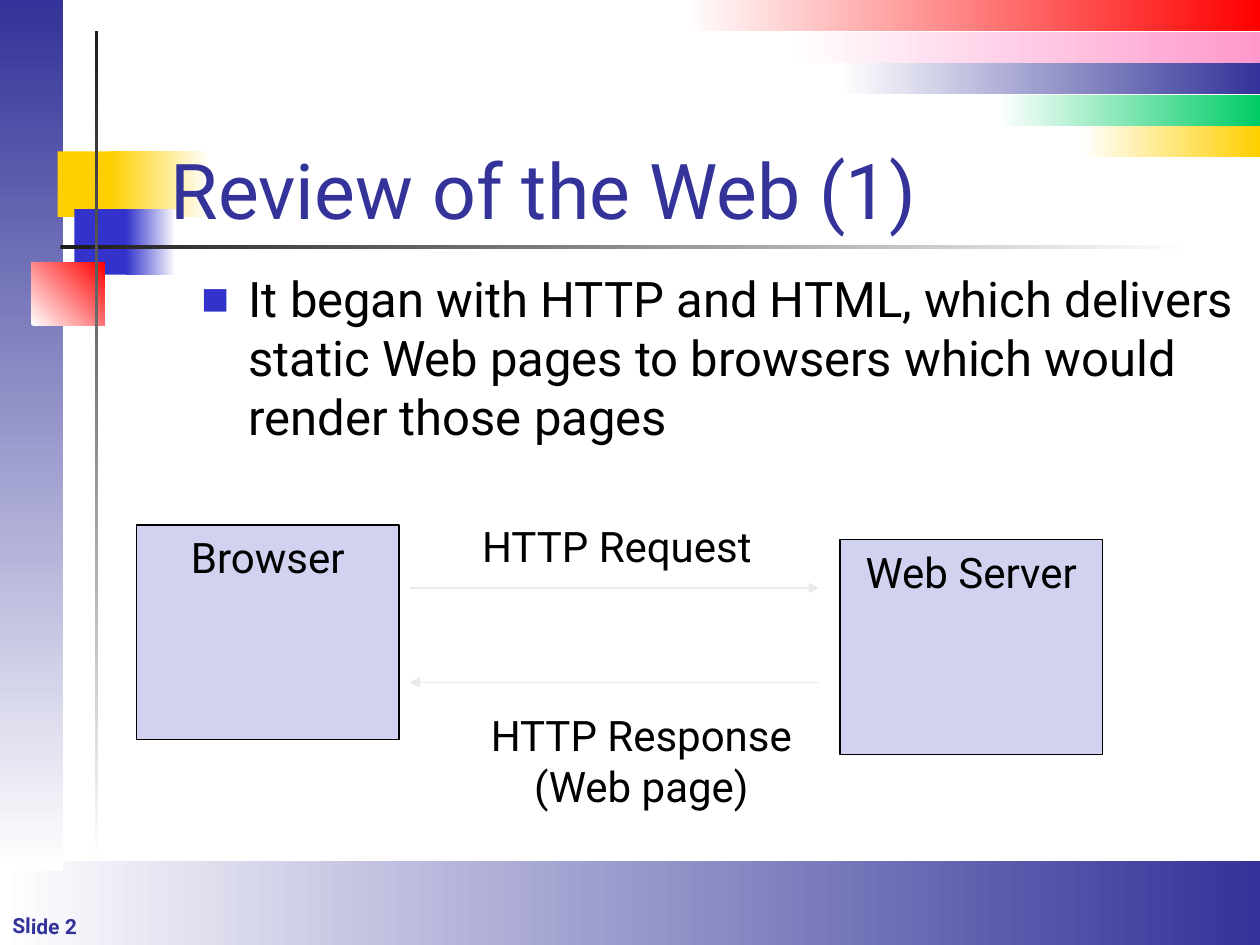
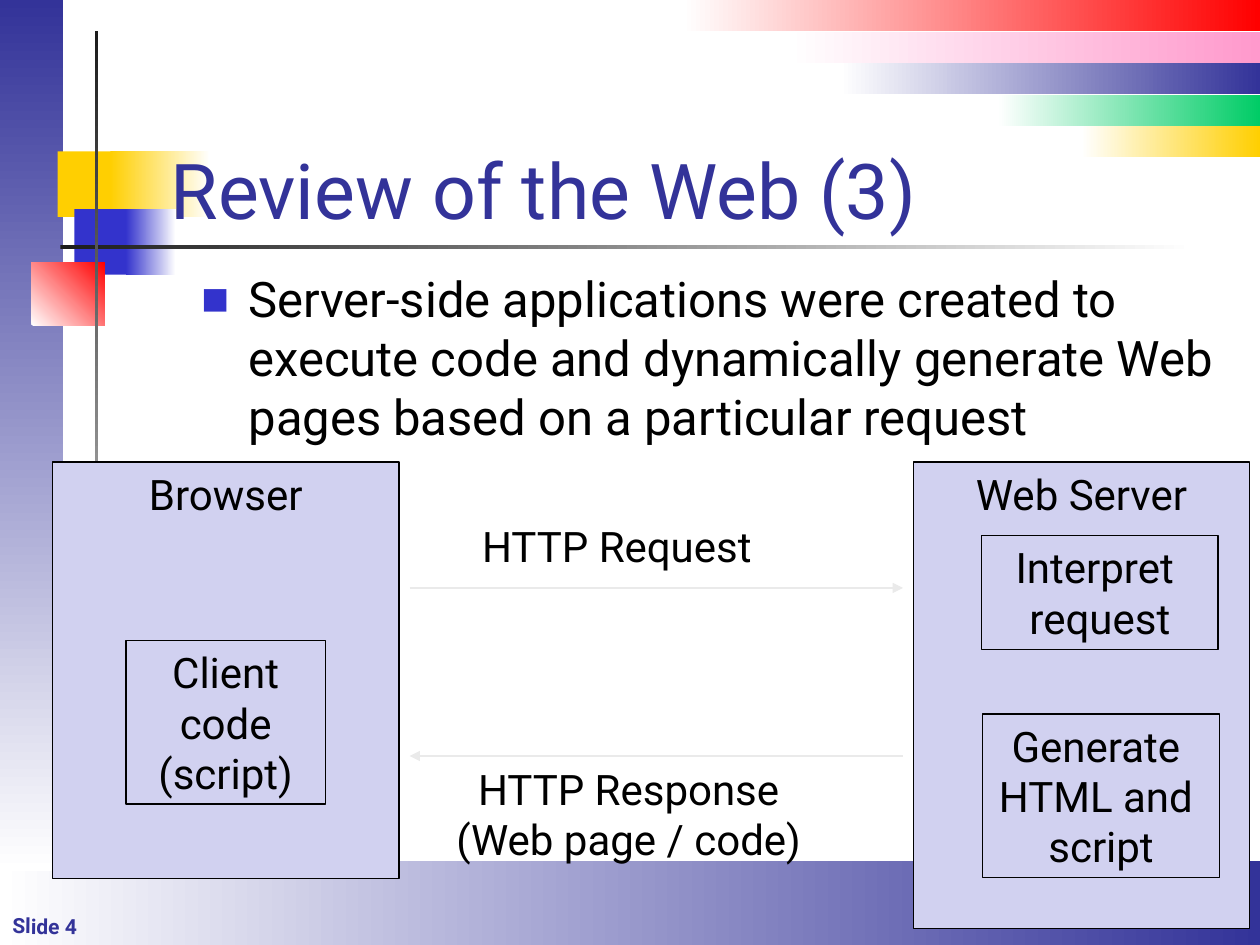
from lxml.etree import SubElement
from pptx import Presentation
from pptx.dml.color import RGBColor
from pptx.enum.shapes import MSO_CONNECTOR, MSO_SHAPE
from pptx.enum.text import MSO_ANCHOR, PP_ALIGN
from pptx.oxml.ns import qn
from pptx.util import Pt

WHITE = RGBColor(0xFF, 0xFF, 0xFF)
BLACK = RGBColor(0x00, 0x00, 0x00)
CHARCOAL = RGBColor(0x1C, 0x1C, 0x1C)
NAVY = RGBColor(0x33, 0x33, 0x99)
BLUE = RGBColor(0x33, 0x33, 0xCC)
LAVENDER = RGBColor(0xD1, 0xD1, 0xF0)
RED = RGBColor(0xFF, 0x00, 0x00)
PINK = RGBColor(0xFF, 0x99, 0xCC)
GREEN = RGBColor(0x00, 0xCC, 0x66)
YELLOW = RGBColor(0xFF, 0xCF, 0x01)
PALE_GREY = RGBColor(0xEA, 0xEA, 0xEA)

FONT = "Roboto"
WIDTH, HEIGHT = 720, 540
RIBBON_HEIGHT = 18
ARROW_START = 234

# Ribbons at the top right: left edge and colour, from the top down
RIBBONS = [(390, RED), (450, PINK), (480, NAVY), (570, GREEN), (618, YELLOW)]

# Bands, squares and rules: left, top, width, height, colours, gradient angle
DECORATION = [
    (0, 492, WIDTH, 48, (WHITE, NAVY), 0),
    (0, 0, 36, 498, (NAVY, WHITE), 270),
    *[(left, row * RIBBON_HEIGHT, WIDTH - left, RIBBON_HEIGHT, (WHITE, colour), 0)
      for row, (left, colour) in enumerate(RIBBONS)],
    (33, 86.5, 34.5, 37.5, (YELLOW,), 0),
    (63, 86.5, 57, 37.5, (YELLOW, WHITE), 0),
    (42.5, 119.5, 33, 37.5, (BLUE,), 0),
    (72, 119.5, 28.5, 37.5, (BLUE, WHITE), 0),
    (34.5, 140.25, 648, 2.25, (CHARCOAL, WHITE), 0),
    (18, 150, 42, 36, (WHITE, RED), 45),
    (54, 18, 2.25, 474, (CHARCOAL, WHITE), 270),
]

# Boxes: text, left, top, width, height, fill; "\v" breaks a line
SLIDES = [
    {
        "number": 2,
        "title": "Review of the Web (1)",
        "point": "It began with HTTP and HTML, which delivers static Web pages "
                 "to browsers which would render those pages",
        "boxes": [
            ("Browser", 78, 300, 150, 122.5, LAVENDER),
            ("Web Server", 480, 308.5, 150, 122.5, LAVENDER),
        ],
        "arrow_end": 468,
        "response_y": 390,
        "response": ("HTTP Response\v(Web page)", 272, 402, 189, 65),
    },
    {
        "number": 4,
        "title": "Review of the Web (3)",
        "point": "Server-side applications were created to execute code and "
                 "dynamically generate Web pages based on a particular request",
        "boxes": [
            ("Browser", 30, 264, 198, 238, LAVENDER),
            ("Web Server", 522, 264, 192, 266.5, LAVENDER),
            ("Client code (script)", 72, 366, 114, 93.5, None),
            ("Interpret \vrequest", 561, 306, 135, 65, None),
            ("Generate \nHTML and \vscript", 561.5, 408, 135.5, 93.5, None),
        ],
        "arrow_end": 516,
        "response_y": 432,
        "response": ("HTTP Response\v(Web page / code)", 250.5, 432.5, 217.5, 65),
    },
]


def add_rect(slide, left, top, width, height, colours, angle=0):
    rect = slide.shapes.add_shape(
        MSO_SHAPE.RECTANGLE, Pt(left), Pt(top), Pt(width), Pt(height))
    rect.shadow.inherit = False
    rect.line.fill.background()
    if len(colours) == 2:
        rect.fill.gradient()
        rect.fill.gradient_angle = angle
        for stop, colour in zip(rect.fill.gradient_stops, colours):
            stop.color.rgb = colour
    elif colours:
        rect.fill.solid()
        rect.fill.fore_color.rgb = colours[0]
    else:
        rect.fill.background()
    return rect


def write(shape, text, size, colour=BLACK, align=PP_ALIGN.LEFT,
          anchor=MSO_ANCHOR.TOP, bold=False, wrap=True):
    frame = shape.text_frame
    frame.text = text
    frame.word_wrap = wrap
    frame.vertical_anchor = anchor
    for paragraph in frame.paragraphs:
        paragraph.alignment = align
        for run in paragraph.runs:
            run.font.name = FONT
            run.font.size = Pt(size)
            run.font.bold = bold
            run.font.color.rgb = colour


prs = Presentation()
prs.slide_width, prs.slide_height = Pt(WIDTH), Pt(HEIGHT)

for content in SLIDES:
    slide = prs.slides.add_slide(prs.slide_layouts[6])
    shapes = slide.shapes

    # Shared background and slide number
    for left, top, width, height, colours, angle in DECORATION:
        add_rect(slide, left, top, width, height, colours, angle)
    number = shapes.add_textbox(Pt(0), Pt(518.5), Pt(84), Pt(24))
    number.rotation = 0.7
    write(number, f"Slide {content['number']}", 12, NAVY, bold=True)

    # Title
    title = shapes.add_textbox(Pt(90.5), Pt(48), Pt(613.5), Pt(90))
    write(title, content["title"], 44, NAVY, anchor=MSO_ANCHOR.BOTTOM)

    # Bullet point
    point = shapes.add_textbox(Pt(108), Pt(150), Pt(612), Pt(324))
    write(point, content["point"], 28)
    bullet = point.text_frame.paragraphs[0]._p.get_or_add_pPr()
    bullet.set("marL", str(Pt(27)))
    bullet.set("indent", str(-Pt(27)))
    bullet_colour = SubElement(bullet, qn("a:buClr"))
    SubElement(bullet_colour, qn("a:srgbClr"), val=str(BLUE))
    SubElement(bullet, qn("a:buSzPct"), val="60000")
    SubElement(bullet, qn("a:buFont"), typeface=FONT)
    SubElement(bullet, qn("a:buChar"), char="■")

    # Browser, server and the steps inside them
    for text, left, top, width, height, fill in content["boxes"]:
        box = add_rect(slide, left, top, width, height, (fill,) if fill else ())
        box.line.color.rgb = BLACK
        box.line.width = Pt(0.75)
        write(box, text, 24, align=PP_ALIGN.CENTER)

    # Request arrow to the right, response arrow to the left
    arrow_end = content["arrow_end"]
    for start, end, y in [(ARROW_START, arrow_end, 336),
                          (arrow_end, ARROW_START, content["response_y"])]:
        arrow = shapes.add_connector(
            MSO_CONNECTOR.STRAIGHT, Pt(start), Pt(y), Pt(end), Pt(y))
        arrow.line.color.rgb = PALE_GREY
        arrow.line.width = Pt(1)
        SubElement(arrow.line._get_or_add_ln(), qn("a:tailEnd"), type="triangle")
        SubElement(arrow._element.spPr, qn("a:effectLst"))

    # Arrow labels
    for text, left, top, width, height in [("HTTP Request", 267, 294, 171, 36),
                                           content["response"]]:
        label = shapes.add_textbox(Pt(left), Pt(top), Pt(width), Pt(height))
        write(label, text, 24, align=PP_ALIGN.CENTER, wrap=False)

prs.save("out.pptx")
